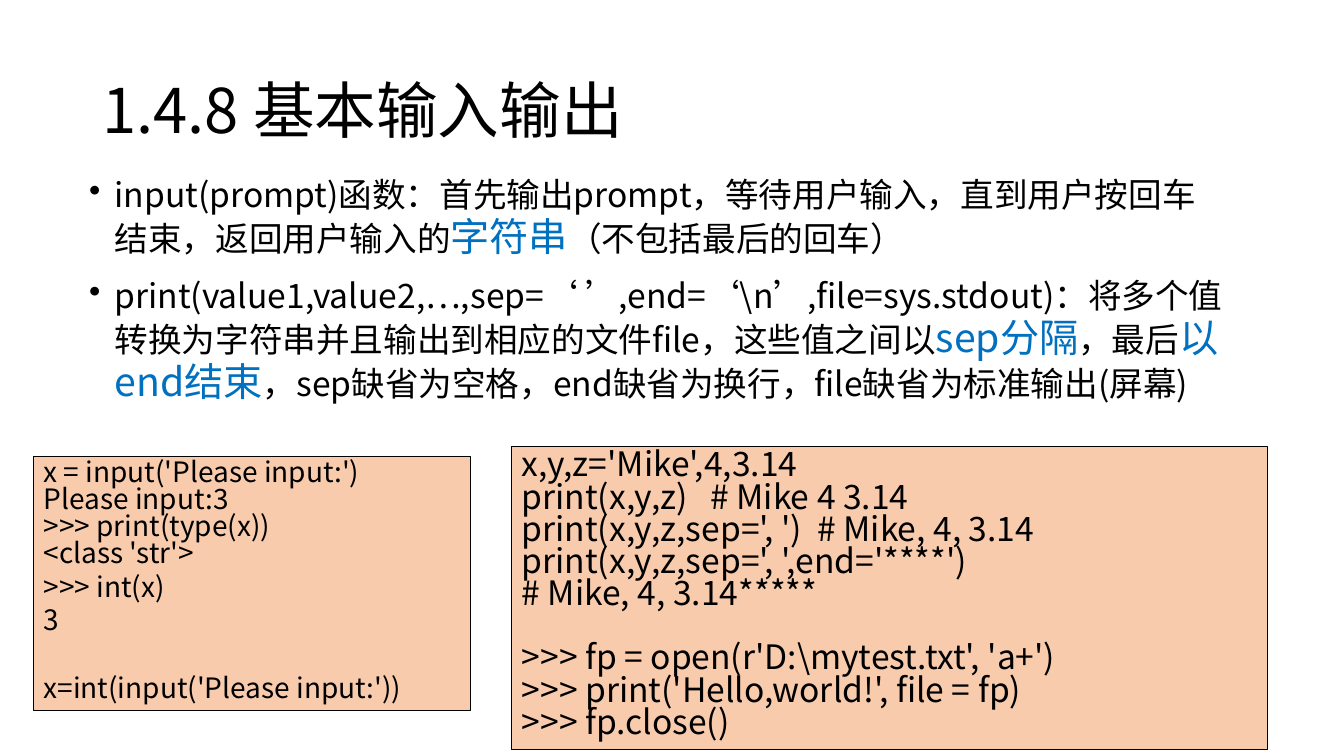
from lxml import etree
from pptx import Presentation
from pptx.dml.color import RGBColor
from pptx.enum.shapes import MSO_SHAPE
from pptx.enum.text import MSO_ANCHOR, PP_ALIGN
from pptx.oxml.ns import qn
from pptx.util import Cm, Pt

RECTANGLE = MSO_SHAPE.RECTANGLE
TOP, MIDDLE = MSO_ANCHOR.TOP, MSO_ANCHOR.MIDDLE
LEFT = PP_ALIGN.LEFT

FONT = "Noto Sans CJK SC"
BLACK, BLUE, PEACH = "000000", "0070C0", "F8CBAD"

# Each bullet is a list of (text, is_key_term) pieces.
BULLETS = [
    [("input(prompt)函数：首先输出prompt，等待用户输入，直到用户按回车结束，返回用户输入的", False),
     ("字符串", True),
     ("（不包括最后的回车）", False)],
    [("print(value1,value2,…,sep=‘ ’,end=‘\\n’,file=sys.stdout)：将多个值转换为字符串"
      "并且输出到相应的文件file，这些值之间以", False),
     ("sep分隔", True),
     ("，最后", False),
     ("以end结束", True),
     ("，sep缺省为空格，end缺省为换行，file缺省为标准输出(屏幕)", False)],
]

# Each code line is (text, line pitch in points, gap before in points).
INPUT_CODE = [
    ("x = input('Please input:')", 19.2, 0),
    ("Please input:3", 19.2, 0),
    (">>> print(type(x))", 19.2, 0),
    ("<class 'str'>", 19.2, 0),
    (">>> int(x)", 24, 0),
    ("3", 24, 0),
    ("x=int(input('Please input:'))", 24, 24),
]
PRINT_CODE = [
    ("x,y,z='Mike',4,3.14", 23, 0),
    ("print(x,y,z)   # Mike 4 3.14", 23, 0),
    ("print(x,y,z,sep=', ')  # Mike, 4, 3.14", 23, 0),
    ("print(x,y,z,sep=', ',end='****')", 23, 0),
    ("# Mike, 4, 3.14*****", 23, 0),
    (">>> fp = open(r'D:\\mytest.txt', 'a+')", 23, 23),
    (">>> print('Hello,world!', file = fp)", 23, 0),
    (">>> fp.close()", 23, 0),
]


def rgb(color):
    return RGBColor.from_string(color)


def style_paragraph(p, size):
    """Set size, colour and the Latin and East Asian fonts of a paragraph."""
    p.alignment = LEFT
    p.font.size = Pt(size)
    p.font.color.rgb = rgb(BLACK)
    p.font.name = FONT
    def_rpr = p._p.pPr.find(qn("a:defRPr"))
    etree.SubElement(def_rpr, qn("a:ea"), typeface=FONT)


def add_bullet(p):
    """Give a paragraph a round bullet with a hanging indent."""
    ppr = p._p.get_or_add_pPr()
    ppr.set("marL", str(Cm(0.64)))
    ppr.set("indent", str(-Cm(0.64)))
    bullet = etree.Element(qn("a:buChar"), char="•")
    ppr.find(qn("a:defRPr")).addprevious(bullet)


def add_text_box(s, left, top, width, height, anchor=TOP):
    tf = s.shapes.add_textbox(Cm(left), Cm(top), Cm(width), Cm(height)).text_frame
    tf.word_wrap = True
    tf.vertical_anchor = anchor
    return tf


def next_paragraph(tf, index):
    return tf.add_paragraph() if index else tf.paragraphs[0]


def add_title(s, text):
    p = add_text_box(s, 2.33, 1.01, 29.21, 3.68, MIDDLE).paragraphs[0]
    p.text = text
    p.line_spacing = 0.9
    style_paragraph(p, 44)


def add_bullets(s, bullets):
    tf = add_text_box(s, 2, 4.15, 29.21, 12.1)
    for i, pieces in enumerate(bullets):
        p = next_paragraph(tf, i)
        p.line_spacing = Pt(32)
        p.space_after = Pt(8)
        style_paragraph(p, 24)
        add_bullet(p)
        for text, is_key_term in pieces:
            r = p.add_run()
            r.text = text
            if is_key_term:
                r.font.size = Pt(28)
                r.font.color.rgb = rgb(BLUE)


def add_code_box(s, left, top, width, height, lines, size):
    sp = s.shapes.add_shape(RECTANGLE, Cm(left), Cm(top), Cm(width), Cm(height))
    sp.shadow.inherit = False
    sp.fill.solid()
    sp.fill.fore_color.rgb = rgb(PEACH)
    sp.line.color.rgb = rgb(BLACK)
    sp.line.width = Pt(0.75)
    tf = sp.text_frame
    tf.word_wrap = True
    tf.vertical_anchor = TOP
    for i, (text, pitch, gap) in enumerate(lines):
        p = next_paragraph(tf, i)
        p.text = text
        p.line_spacing = Pt(pitch)
        p.space_before = Pt(gap)
        style_paragraph(p, size)


def main():
    prs = Presentation()
    prs.slide_width, prs.slide_height = Cm(33.87), Cm(19.05)
    s = prs.slides.add_slide(prs.slide_layouts[6])
    add_title(s, "1.4.8 基本输入输出")
    add_bullets(s, BULLETS)
    add_code_box(s, 0.85, 11.51, 11, 6.4, INPUT_CODE, 20)
    add_code_box(s, 12.9, 11.25, 19.05, 7.65, PRINT_CODE, 24)
    prs.save("out.pptx")


if __name__ == "__main__":
    main()
